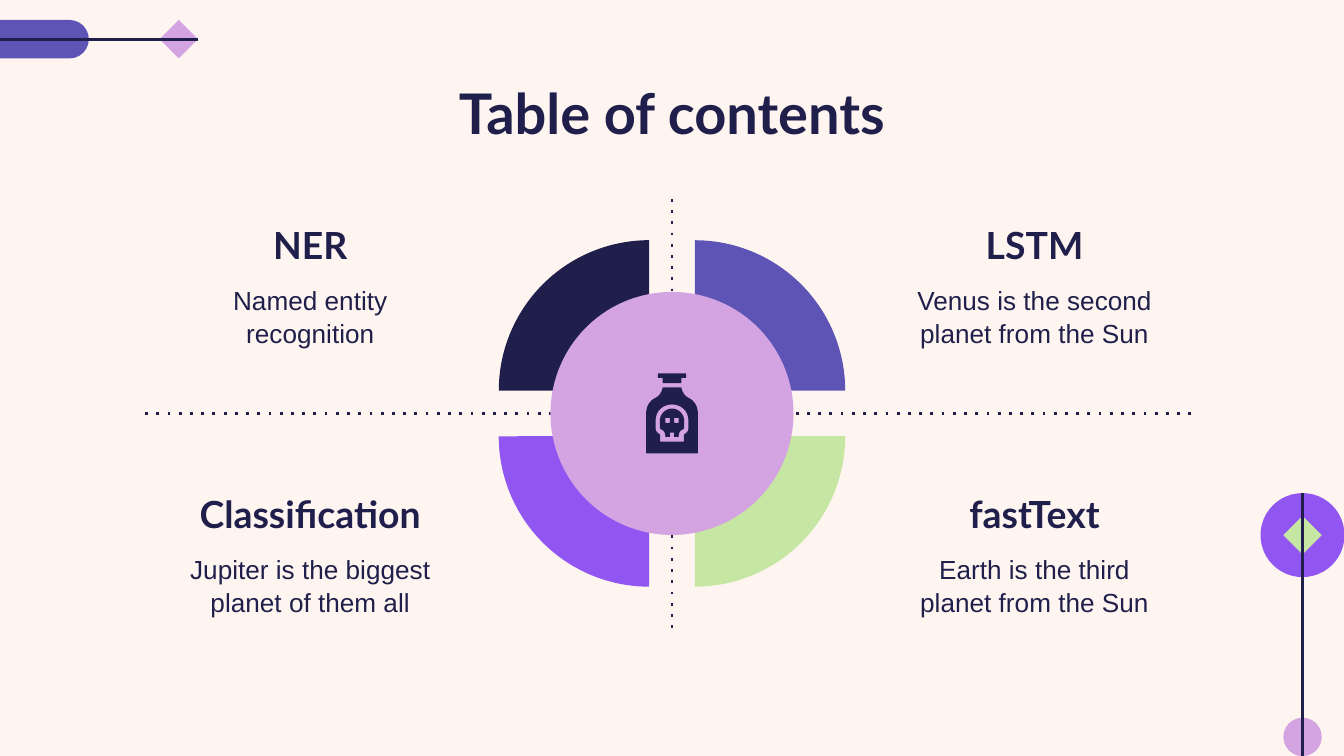
"""Builds a table of contents slide: four topics around a ring with a bottle icon."""
from dataclasses import dataclass

from lxml.etree import SubElement
from pptx import Presentation
from pptx.dml.color import RGBColor
from pptx.enum.dml import MSO_LINE
from pptx.enum.shapes import MSO_CONNECTOR, MSO_SHAPE as Preset
from pptx.enum.text import MSO_ANCHOR as Anchor, PP_ALIGN as Align
from pptx.oxml.ns import qn
from pptx.util import Pt


@dataclass(frozen=True)
class Theme:
    cream: str = "FEF5F0"
    navy: str = "201F4B"
    indigo: str = "5E54B5"
    violet: str = "9156F1"
    green: str = "C6E6A3"
    lilac: str = "D4A4E2"
    heading_font: str = "Lato"
    body_font: str = "Arial"
    title_size: float = 30
    heading_size: float = 20
    body_size: float = 14
    line_width: float = 1.5


def write_text(frame, text, *, size, font, color, bold=False, anchor=Anchor.TOP, spacing=None):
    frame.word_wrap = True
    frame.vertical_anchor = anchor
    frame.margin_left = frame.margin_right = frame.margin_top = frame.margin_bottom = Pt(7.2)
    paragraph = frame.paragraphs[0]
    paragraph.alignment = Align.CENTER
    paragraph.line_spacing = spacing
    run = paragraph.add_run()
    run.text = text
    run.font.size = Pt(size)
    run.font.name = font
    run.font.bold = bold
    run.font.color.rgb = RGBColor.from_string(color)


def flatten(steps, pieces=8):
    points = [steps[0]]
    for step in steps[1:]:
        if len(step) == 2:
            points.append(step)
            continue
        controls = [points[-1], step[:2], step[2:4], step[4:]]
        for index in range(1, pieces + 1):
            t = index / pieces
            weights = ((1 - t) ** 3, 3 * t * (1 - t) ** 2, 3 * t * t * (1 - t), t ** 3)
            points.append(tuple(sum(w * c[axis] for w, c in zip(weights, controls))
                                for axis in (0, 1)))
    return points


def mirrored(steps):
    half = flatten(steps)
    return half + [(-x, y) for x, y in reversed(half)]


class SlideBuilder:
    def __init__(self, slide, theme):
        self.slide = slide
        self.shapes = slide.shapes
        self.theme = theme
        slide.background.fill.solid()
        slide.background.fill.fore_color.rgb = RGBColor.from_string(theme.cream)

    def paint(self, shape, color):
        shape.shadow.inherit = False
        shape.fill.solid()
        shape.fill.fore_color.rgb = RGBColor.from_string(color)
        shape.line.fill.background()

    def shape(self, preset, center_x, center_y, width, height, color, adjustments=()):
        shape = self.shapes.add_shape(preset, Pt(center_x - width / 2), Pt(center_y - height / 2),
                                      Pt(width), Pt(height))
        for index, value in enumerate(adjustments):
            shape.adjustments[index] = value
        self.paint(shape, color)

    def line(self, x1, y1, x2, y2, dotted=False):
        connector = self.shapes.add_connector(MSO_CONNECTOR.STRAIGHT, Pt(x1), Pt(y1), Pt(x2), Pt(y2))
        connector.line.color.rgb = RGBColor.from_string(self.theme.navy)
        connector.line.width = Pt(self.theme.line_width)
        if dotted:
            connector.line.dash_style = MSO_LINE.ROUND_DOT
            next(connector._element.iter(qn("a:prstDash"))).set("val", "dot")
        SubElement(connector._element.spPr, qn("a:effectLst"))

    def text(self, text, left, top, width, height, **style):
        box = self.shapes.add_textbox(Pt(left), Pt(top), Pt(width), Pt(height))
        write_text(box.text_frame, text, color=self.theme.navy, **style)

    def outline(self, axis_x, contours, color):
        placed = [[(Pt(axis_x + x), Pt(y)) for x, y in contour] for contour in contours]
        builder = self.shapes.build_freeform(*placed[0][0], scale=1.0)
        builder.add_line_segments(placed[0][1:], close=True)
        for contour in placed[1:]:
            builder.move_to(*contour[0])
            builder.add_line_segments(contour[1:], close=True)
        self.paint(builder.convert_to_shape(), color)


def draw_corner_ornaments(builder, theme):
    x, y, small = 697.8, 286.7, 20.6
    builder.shape(Preset.OVAL, x, y, 45, 45, theme.violet)
    builder.shape(Preset.DIAMOND, x, y, small, small, theme.green)
    builder.shape(Preset.OVAL, x, 394.8, small, small, theme.lilac)
    builder.line(x, 264.2, x, 405)
    y = 21
    builder.shape(Preset.ROUNDED_RECTANGLE, -1, y, 97.2, small, theme.indigo, (0.5,))
    builder.shape(Preset.DIAMOND, 95.8, y, small, small, theme.lilac)
    builder.line(-34.6, y, 106, y)


def draw_ring(builder, theme, x, y):
    gap, diameter = 12.2, 161.2
    quarters = ((1, 1, theme.green), (-1, 1, theme.violet),
                (-1, -1, theme.navy), (1, -1, theme.indigo))
    for index, (side, level, color) in enumerate(quarters):
        angles = (54 * index, 54 * (index + 1) % 216)
        builder.shape(Preset.PIE, x + side * gap, y + level * gap, diameter, diameter, color, angles)
    builder.line(77.8, y, 642.2, y, dotted=True)
    builder.line(x, 106.6, x, 336.2, dotted=True)
    builder.shape(Preset.OVAL, x, y, 130.2, 130.2, theme.lilac)


def draw_bottle(builder, theme, x):
    cap = mirrored([(7.6, 200), (7.6, 202.4), (5, 202.4), (5, 205.2)])
    bottle = mirrored([(5, 207.5), (5.4, 210, 6.8, 212, 8.6, 213),
                       (12.2, 214.6, 13.9, 218, 13.9, 221.8), (13.9, 242.9)])
    window = mirrored([(0, 216.7), (4.4, 216.7, 8.8, 219.6, 8.8, 225.4), (8.8, 229),
                       (8.8, 230.6, 8.2, 231.6, 7.4, 232.1),
                       (6.8, 232.4, 6.4, 232.8, 6.4, 233.4), (6.4, 236.6)])
    skull = mirrored([(0, 218.9), (3.5, 218.9, 6.5, 221.8, 6.5, 225.4), (6.5, 229),
                      (6.5, 229.6, 6.2, 229.8, 5.9, 230),
                      (4.3, 230.6, 3.6, 232, 3.6, 233.4), (3.6, 234), (1.2, 234), (1.2, 231.8)])
    eyes = [[(side * 1.2, 223.9), (side * 3.6, 223.9), (side * 3.6, 226.6), (side * 1.2, 226.6)]
            for side in (-1, 1)]
    for contours in ([cap], [bottle, window], [skull, *eyes]):
        builder.outline(x, contours, theme.navy)


def draw_topics(builder, theme):
    topics = (("NER", "Named entity recognition"),
              ("LSTM", "Venus is the second planet from the Sun"),
              ("Classification", "Jupiter is the biggest planet of them all"),
              ("fastText", "Earth is the third planet from the Sun"))
    for index, (heading, body) in enumerate(topics):
        row, column = divmod(index, 2)
        left, top = 88.5 + 388 * column, 106.5 + 144 * row
        builder.text(heading, left, top, 155.5, 44, size=theme.heading_size,
                     font=theme.heading_font, bold=True, anchor=Anchor.BOTTOM)
        builder.text(body, left, top + 37.5, 155.5, 48, size=theme.body_size,
                     font=theme.body_font, spacing=1.06)


def main():
    theme = Theme()
    presentation = Presentation()
    presentation.slide_width, presentation.slide_height = Pt(720), Pt(405)
    slide = presentation.slides.add_slide(presentation.slide_layouts[6])
    builder = SlideBuilder(slide, theme)
    draw_corner_ornaments(builder, theme)
    draw_ring(builder, theme, 360, 221.5)
    builder.text("Table of contents", 56.7, 35, 606.6, 45, size=theme.title_size,
                 font=theme.heading_font, bold=True)
    draw_topics(builder, theme)
    draw_bottle(builder, theme, 360)
    presentation.save("out.pptx")


if __name__ == "__main__":
    main()
